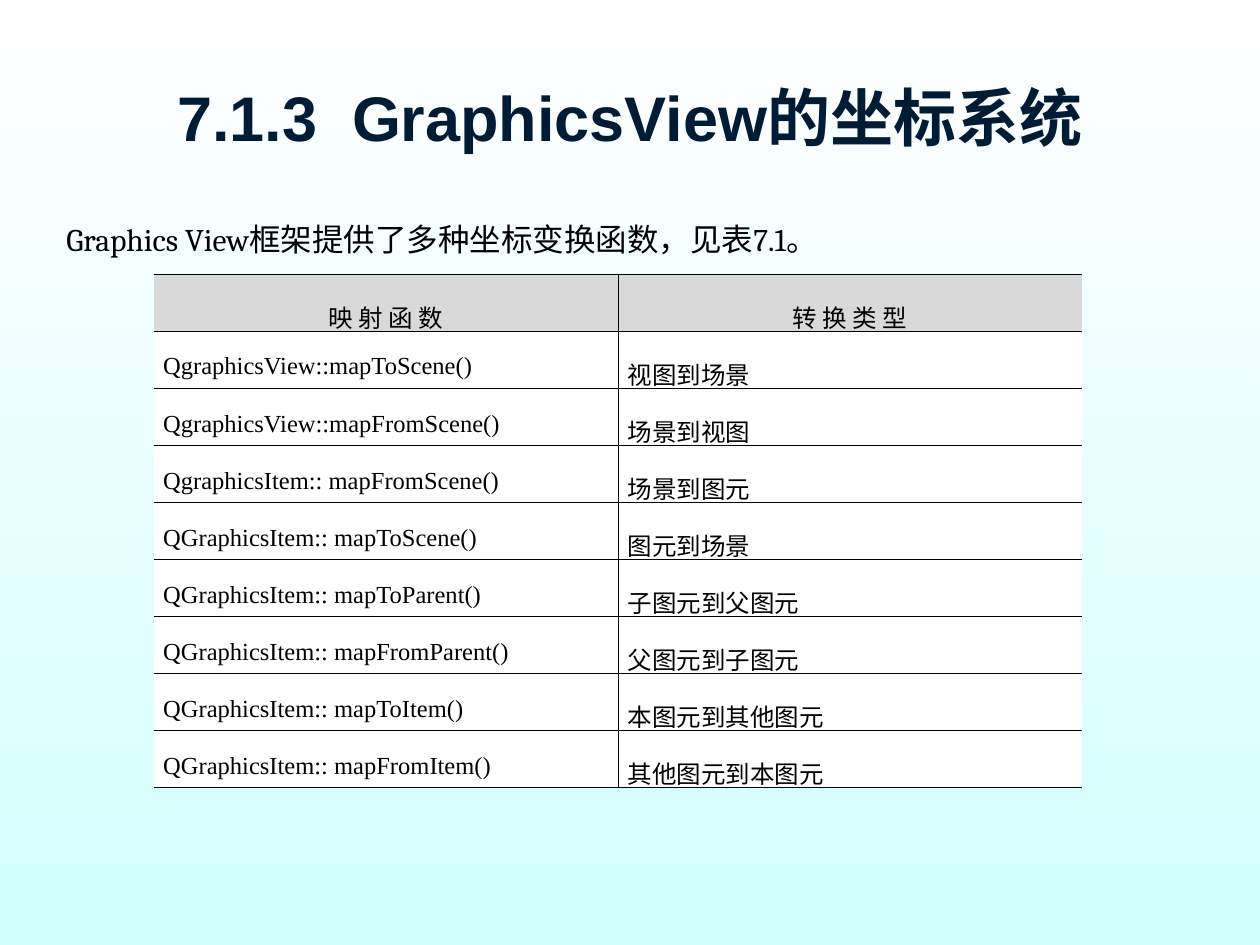
"""Build the slide on GraphicsView coordinate mapping functions."""
from dataclasses import dataclass

from lxml.etree import SubElement
from pptx import Presentation
from pptx.dml.color import RGBColor
from pptx.enum.text import MSO_ANCHOR, MSO_AUTO_SIZE, PP_ALIGN
from pptx.oxml.ns import qn
from pptx.slide import Slide
from pptx.table import _Cell
from pptx.text.text import TextFrame
from pptx.util import Cm, Pt

NAVY = RGBColor(0x00, 0x1B, 0x36)
BLACK = RGBColor(0x00, 0x00, 0x00)
WHITE = RGBColor(0xFF, 0xFF, 0xFF)
PALE_CYAN = RGBColor(0xD2, 0xFF, 0xFF)
HEADER_GREY = RGBColor(0xD9, 0xD9, 0xD9)


@dataclass(frozen=True)
class TextStyle:
    font: str
    size: int
    color: RGBColor = BLACK
    bold: bool = False
    alignment: PP_ALIGN = PP_ALIGN.LEFT
    line_spacing: float = 1.0


@dataclass(frozen=True)
class TextBlock:
    text: str
    left: float
    top: float
    width: float
    height: float
    style: TextStyle
    anchor: MSO_ANCHOR
    auto_size: MSO_AUTO_SIZE


@dataclass(frozen=True)
class Mapping:
    function: str
    conversion: str


TITLE_STYLE = TextStyle("Arial", 36, NAVY, True, PP_ALIGN.CENTER)
INTRO_STYLE = TextStyle("Cambria", 18)
HEADER_STYLE = TextStyle("Times New Roman", 14, alignment=PP_ALIGN.CENTER, line_spacing=1.5)
BODY_STYLE = TextStyle("Times New Roman", 14, alignment=PP_ALIGN.JUSTIFY, line_spacing=1.5)

TEXT_BLOCKS = (
    TextBlock("7.1.3  GraphicsView的坐标系统", 1.27, 0.76, 22.86, 3.18,
              TITLE_STYLE, MSO_ANCHOR.MIDDLE, MSO_AUTO_SIZE.NONE),
    TextBlock("Graphics View框架提供了多种坐标变换函数，见表7.1。", 1.09, 4.32, 23.22, 1.78,
              INTRO_STYLE, MSO_ANCHOR.TOP, MSO_AUTO_SIZE.SHAPE_TO_FIT_TEXT),
)

MAPPINGS = (
    Mapping("映 射 函 数", "转 换 类 型"),
    Mapping("QgraphicsView::mapToScene()", "视图到场景"),
    Mapping("QgraphicsView::mapFromScene()", "场景到视图"),
    Mapping("QgraphicsItem:: mapFromScene()", "场景到图元"),
    Mapping("QGraphicsItem:: mapToScene()", "图元到场景"),
    Mapping("QGraphicsItem:: mapToParent()", "子图元到父图元"),
    Mapping("QGraphicsItem:: mapFromParent()", "父图元到子图元"),
    Mapping("QGraphicsItem:: mapToItem()", "本图元到其他图元"),
    Mapping("QGraphicsItem:: mapFromItem()", "其他图元到本图元"),
)
COLUMN_WIDTH = 9.36
ROW_HEIGHT = 0.89


def write_text(frame: TextFrame, text: str, style: TextStyle) -> None:
    """Write one styled run into the first paragraph."""
    paragraph = frame.paragraphs[0]
    paragraph.alignment = style.alignment
    paragraph.line_spacing = style.line_spacing
    run = paragraph.add_run()
    run.text = text
    run.font.name = style.font
    run.font.size = Pt(style.size)
    run.font.bold = style.bold
    run.font.color.rgb = style.color


def add_text_block(slide: Slide, block: TextBlock) -> None:
    """Add a wrapped text box."""
    shape = slide.shapes.add_textbox(
        Cm(block.left), Cm(block.top), Cm(block.width), Cm(block.height))
    frame = shape.text_frame
    frame.word_wrap = True
    frame.auto_size = block.auto_size
    frame.vertical_anchor = block.anchor
    write_text(frame, block.text, block.style)


def set_borders(cell: _Cell, open_side: str) -> None:
    """Rule every side of a cell except the open one."""
    properties = cell._tc.get_or_add_tcPr()
    for side in ("lnL", "lnR", "lnT", "lnB"):
        line = SubElement(properties, qn(f"a:{side}"), w=str(Pt(0.45)))
        if side == open_side:
            SubElement(line, qn("a:noFill"))
        else:
            fill = SubElement(line, qn("a:solidFill"))
            SubElement(fill, qn("a:srgbClr"), val=str(BLACK))


def fill_cell(cell: _Cell, text: str, style: TextStyle, color: RGBColor, open_side: str) -> None:
    """Write and format one table cell."""
    cell.vertical_anchor = MSO_ANCHOR.MIDDLE
    cell.margin_left = cell.margin_right = Cm(0.19)
    cell.margin_top = cell.margin_bottom = Cm(0.13)
    set_borders(cell, open_side)
    cell.fill.solid()
    cell.fill.fore_color.rgb = color
    write_text(cell.text_frame, text, style)


def add_mapping_table(slide: Slide) -> None:
    """Add the table of mapping functions."""
    table = slide.shapes.add_table(
        len(MAPPINGS), 2, Cm(3.1), Cm(5.53),
        Cm(2 * COLUMN_WIDTH), Cm(len(MAPPINGS) * ROW_HEIGHT)).table
    table.first_row = False
    table.horz_banding = False
    for row_index, mapping in enumerate(MAPPINGS):
        style, color = (BODY_STYLE, WHITE) if row_index else (HEADER_STYLE, HEADER_GREY)
        fill_cell(table.cell(row_index, 0), mapping.function, style, color, "lnL")
        fill_cell(table.cell(row_index, 1), mapping.conversion, style, color, "lnR")


def set_background(slide: Slide) -> None:
    """Fade the background from white down to pale cyan."""
    fill = slide.background.fill
    fill.gradient()
    fill.gradient_angle = 270
    for position, (stop, color) in enumerate(zip(fill.gradient_stops, (WHITE, PALE_CYAN))):
        stop.position = position
        stop.color.rgb = color


def main() -> None:
    """Build and save the presentation."""
    presentation = Presentation()
    presentation.slide_width = Cm(25.4)
    presentation.slide_height = Cm(19.05)
    slide = presentation.slides.add_slide(presentation.slide_layouts[6])
    set_background(slide)
    for block in TEXT_BLOCKS:
        add_text_block(slide, block)
    add_mapping_table(slide)
    presentation.save("out.pptx")


if __name__ == "__main__":
    main()
